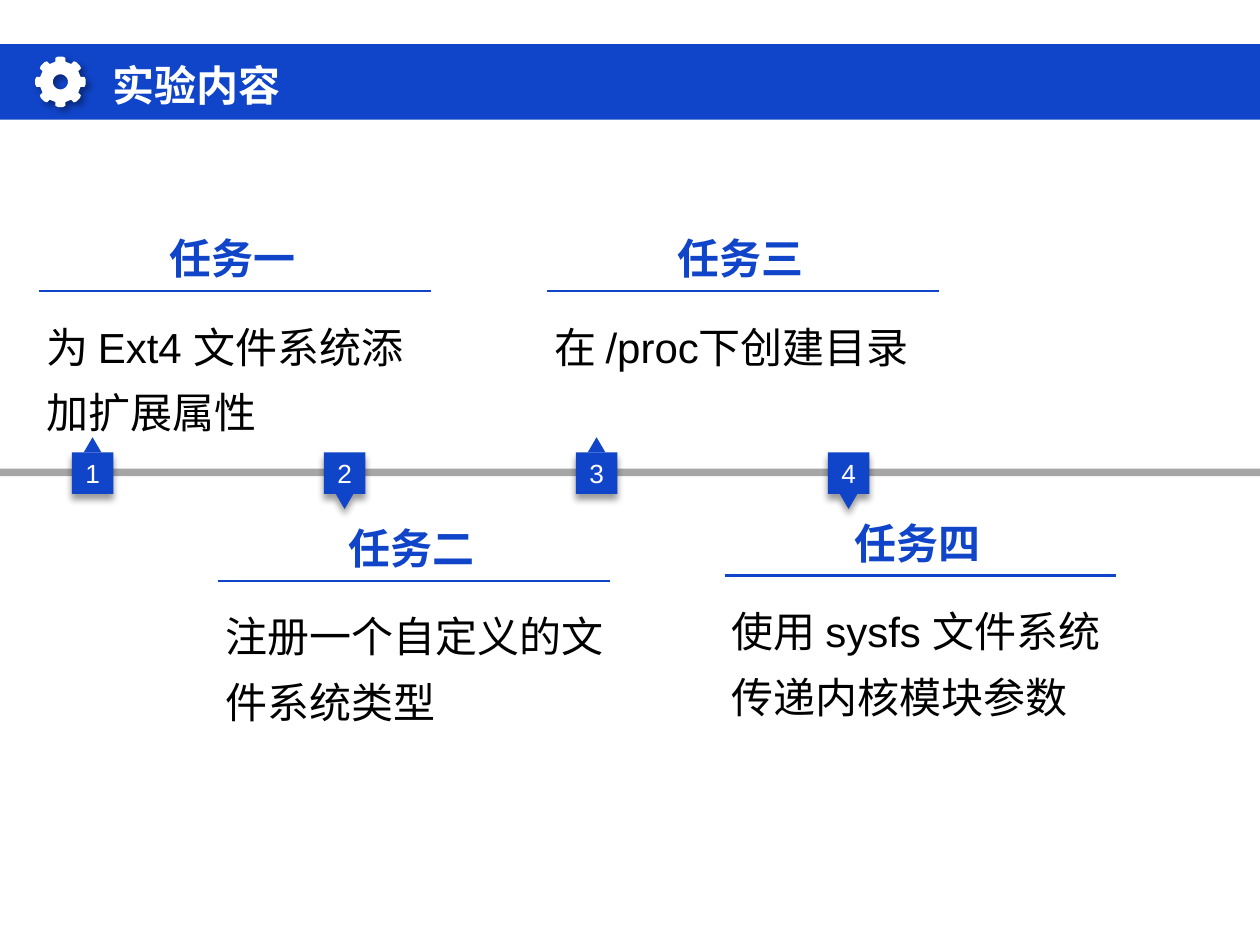
from math import cos, pi, sin

from lxml import etree
from pptx import Presentation
from pptx.dml.color import RGBColor
from pptx.enum.shapes import MSO_CONNECTOR, MSO_SHAPE
from pptx.enum.text import MSO_ANCHOR, PP_ALIGN
from pptx.oxml.ns import qn
from pptx.util import Inches, Pt

BLUE = RGBColor(0x10, 0x45, 0xC9)
GREY = RGBColor(0xA6, 0xA6, 0xA6)
WHITE = RGBColor(0xFF, 0xFF, 0xFF)
BLACK = RGBColor(0, 0, 0)
RECT, TRIANGLE = MSO_SHAPE.RECTANGLE, MSO_SHAPE.ISOSCELES_TRIANGLE
STRAIGHT = MSO_CONNECTOR.STRAIGHT
LEFT, CENTER, JUSTIFY = PP_ALIGN.LEFT, PP_ALIGN.CENTER, PP_ALIGN.JUSTIFY
TOP, MIDDLE = MSO_ANCHOR.TOP, MSO_ANCHOR.MIDDLE

WIDTH, HEIGHT = 10, 7.5
MARKER_LEFT, MARKER_PITCH, MARKER_TOP, MARKER_SIDE = 0.57, 2, 3.59, 0.33
POINTER_WIDTH, POINTER_HEIGHT = 0.14, 0.12
TOOTH = [(0.16, -0.04), (0.19, -0.04), (0.2, -0.02),
         (0.2, 0.02), (0.19, 0.04), (0.16, 0.04)]
TASKS = [
    ("任务一", "为 Ext4 文件系统添加扩展属性", 0.27, 1.8, 2),
    ("任务二", "注册一个自定义的文件系统类型", 1.69, 4.1, 2),
    ("任务三", "在 /proc下创建目录", 4.3, 1.8, 1),
    ("任务四", "使用 sysfs 文件系统传递内核模块参数", 5.71, 4.06, 2),
]


def write(shape, text, align=LEFT, anchor=TOP, spacing=None, **font):
    """Put one formatted paragraph in a shape."""
    frame = shape.text_frame
    frame.word_wrap = True
    frame.vertical_anchor = anchor
    frame.text = text
    paragraph = frame.paragraphs[0]
    paragraph.alignment = align
    paragraph.line_spacing = spacing
    run_font = paragraph.runs[0].font
    run_font.color.rgb = font.pop("color", BLACK)
    for name, value in {"name": "Arial", "size": Pt(24), **font}.items():
        setattr(run_font, name, value)


def paint(shape, color, shadow_angle=None):
    """Fill a shape without outline, with an optional soft shadow."""
    shape.fill.solid()
    shape.fill.fore_color.rgb = color
    shape.line.fill.background()
    shape.shadow.inherit = False
    if shadow_angle is not None:
        effects = shape._element.spPr.find(qn("a:effectLst"))
        shadow = etree.SubElement(
            effects, qn("a:outerShdw"), blurRad=str(Pt(4)), dist=str(Pt(3)),
            dir=str(shadow_angle * 60000), algn="ctr", rotWithShape="0")
        tint = etree.SubElement(shadow, qn("a:srgbClr"), val="000000")
        etree.SubElement(tint, qn("a:alpha"), val="40000")


def add_block(slide, kind, left, top, width, height, color, shadow_angle=None):
    """Add a painted preset shape."""
    block = slide.shapes.add_shape(kind, *map(Inches, (left, top, width, height)))
    paint(block, color, shadow_angle)
    return block


def add_gear(slide, x, y, teeth=8, hole=0.06, steps=32):
    """Draw a gear with a round hole about its centre."""
    turns = [2 * pi * tooth / teeth for tooth in range(teeth)]
    rim = [(Inches(x + out * cos(turn) - side * sin(turn)),
            Inches(y + out * sin(turn) + side * cos(turn)))
           for turn in turns for out, side in TOOTH]
    angles = [-2 * pi * step / steps for step in range(steps)]
    bore = [(Inches(x + hole * cos(angle)), Inches(y + hole * sin(angle)))
            for angle in angles]
    outline = slide.shapes.build_freeform(*rim[0])
    outline.add_line_segments(rim[1:], close=True)
    outline.move_to(*bore[0])
    outline.add_line_segments(bore[1:], close=True)
    paint(outline.convert_to_shape(), WHITE, 45)


def add_header(slide, text):
    """Lay the title over the blue band."""
    add_block(slide, RECT, 0, 0.35, WIDTH, 0.6, BLUE)
    title = slide.shapes.title
    slide.shapes._spTree.append(title._element)
    title.left, title.top, title.width, title.height = map(
        Inches, (0.83, 0.44, 6.74, 0.46))
    margins = {"margin_left": 0.06, "margin_right": 0.06,
               "margin_top": 0.03, "margin_bottom": 0.03}
    for name, value in margins.items():
        setattr(title.text_frame, name, Inches(value))
    write(title, text, JUSTIFY, color=WHITE, bold=True)
    add_gear(slide, 0.48, 0.65)


def add_marker(slide, index):
    """Add a numbered square pointing up or down in turn."""
    left = MARKER_LEFT + index * MARKER_PITCH
    points_down = index % 2 == 1
    square = add_block(slide, RECT, left, MARKER_TOP, MARKER_SIDE, MARKER_SIDE, BLUE, 90)
    write(square, str(index + 1), CENTER, MIDDLE, size=Pt(15), color=WHITE)
    top = MARKER_TOP + MARKER_SIDE if points_down else MARKER_TOP - POINTER_HEIGHT
    pointer = add_block(slide, TRIANGLE, left + (MARKER_SIDE - POINTER_WIDTH) / 2, top,
                        POINTER_WIDTH, POINTER_HEIGHT, BLUE, 90 if points_down else None)
    if points_down:
        pointer._element.spPr.get_or_add_xfrm().set("flipV", "1")


def add_text(slide, text, left, top, width, height, **style):
    """Add a text box."""
    box = slide.shapes.add_textbox(*map(Inches, (left, top, width, height)))
    write(box, text, **style)


def add_task(slide, heading, detail, left, top, lines):
    """Add a task heading, its underline and its description."""
    add_text(slide, detail, left, top + 0.58, 3.32, 0.1 + 0.52 * lines, spacing=1.3)
    add_text(slide, heading, left, top, 3.15, 0.5, align=CENTER, color=BLUE, bold=True)
    start, level = left + 0.04, top + 0.51
    rule = slide.shapes.add_connector(
        STRAIGHT, *map(Inches, (start, level, start + 3.11, level)))
    rule.line.color.rgb = BLUE
    rule.line.width = Pt(1.5)
    etree.SubElement(rule._element.spPr, qn("a:effectLst"))


def main():
    """Build the task timeline slide."""
    deck = Presentation()
    deck.slide_width, deck.slide_height = Inches(WIDTH), Inches(HEIGHT)
    slide = deck.slides.add_slide(deck.slide_layouts[5])
    add_header(slide, "实验内容")
    add_block(slide, RECT, 0, 3.72, WIDTH, 0.06, GREY)
    for index in range(len(TASKS)):
        add_marker(slide, index)
    for task in TASKS:
        add_task(slide, *task)
    deck.save("out.pptx")


if __name__ == "__main__":
    main()
